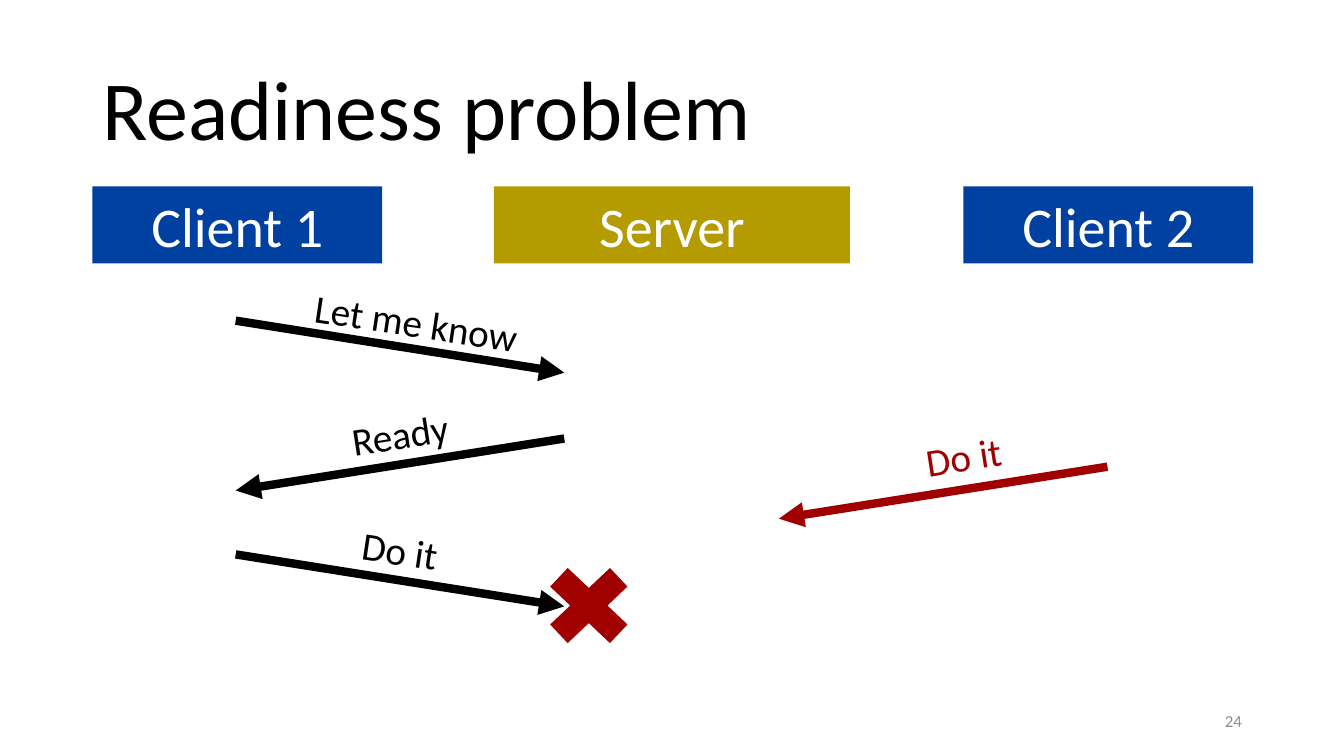
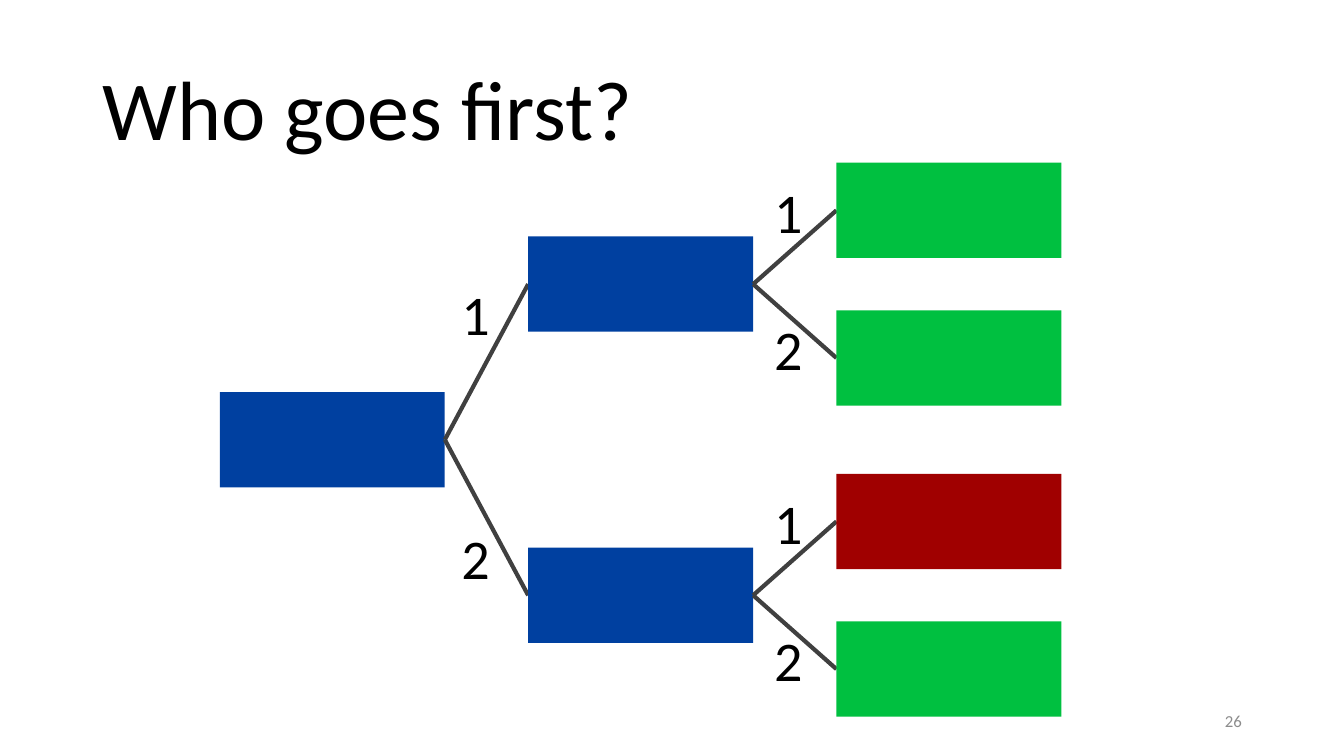
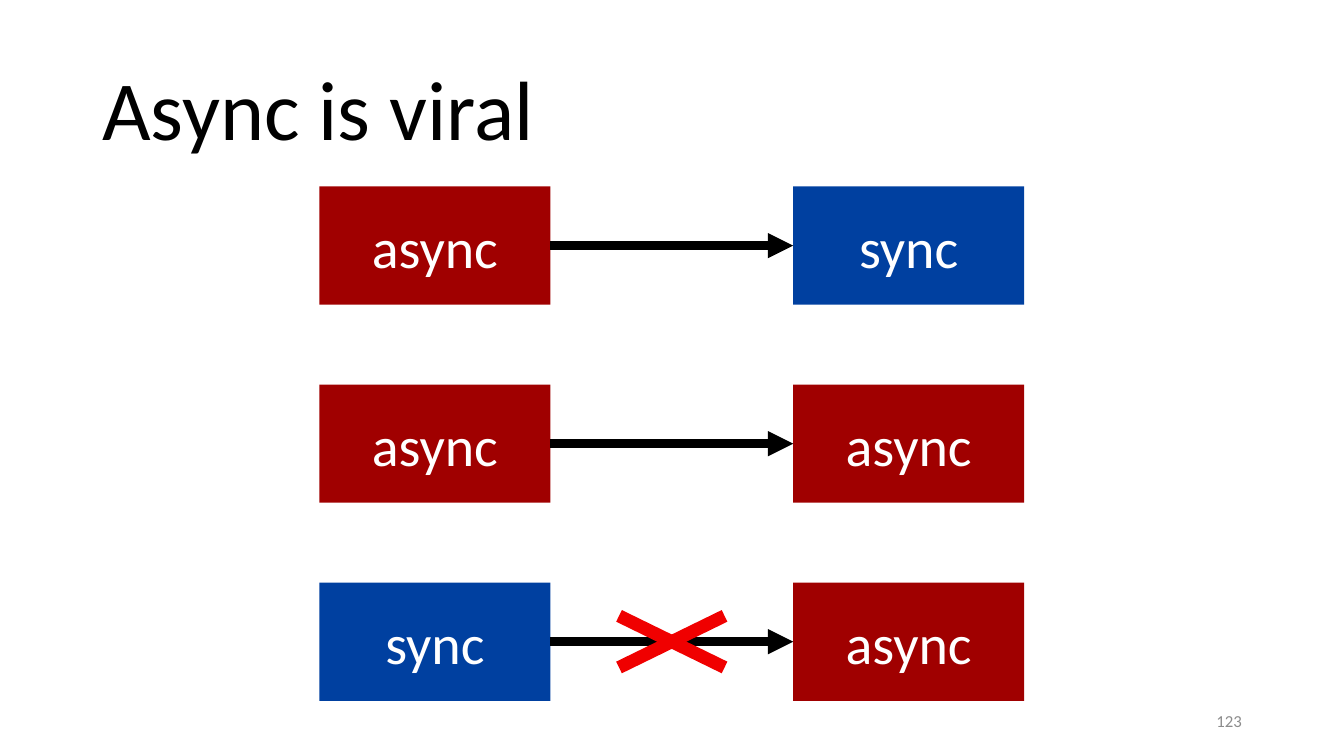
from dataclasses import dataclass

from lxml.etree import SubElement as Sub
from pptx import Presentation
from pptx.dml.color import RGBColor as Rgb
from pptx.enum.shapes import MSO_CONNECTOR as Link, MSO_SHAPE as Kind
from pptx.enum.text import MSO_ANCHOR as Anchor, PP_ALIGN as Align
from pptx.oxml.ns import qn
from pptx.slide import Slide
from pptx.text.text import TextFrame
from pptx.util import Cm, Pt

FONT = "Calibri"
HUE = {
    "black": "000000", "white": "FFFFFF", "blue": "0040A0", "gold": "B49C00",
    "maroon": "A00000", "red": "F00000", "green": "00C040",
    "dark": "404040", "gray": "8C8C8C",
}
ROW_TOP = 4.7


@dataclass
class Box:
    x: float
    y: float
    w: float
    h: float

    @property
    def right(self) -> float:
        return self.x + self.w

    @property
    def mid(self) -> float:
        return self.y + self.h / 2

    def cm(self) -> tuple:
        return Cm(self.x), Cm(self.y), Cm(self.w), Cm(self.h)


@dataclass
class Message:
    text: str
    left: float
    top: float
    tag_x: float
    tag_y: float
    back: bool = False
    hue: str = "black"


@dataclass
class Fork:
    root: Box
    x: float
    reach: float
    tag_dx: float
    tag_dy: float
    hues: tuple[str, str]


def tint(name: str) -> Rgb:
    return Rgb.from_string(HUE[name])


def write(frame: TextFrame, text: str, size: float, hue: str,
          align: Align = Align.CENTER, anchor: Anchor = Anchor.MIDDLE) -> None:
    frame.word_wrap = True
    frame.vertical_anchor = anchor
    par = frame.paragraphs[0]
    par.text = text
    par.alignment = align
    par.font.name = FONT
    par.font.size = Pt(size)
    par.font.color.rgb = tint(hue)


def label(page: Slide, box: Box, text: str, size: float, hue: str = "black",
          align: Align = Align.CENTER, anchor: Anchor = Anchor.TOP,
          turn: float = 0) -> TextFrame:
    shape = page.shapes.add_textbox(*box.cm())
    shape.rotation = turn
    write(shape.text_frame, text, size, hue, align, anchor)
    return shape.text_frame


def block(page: Slide, box: Box, hue: str, text: str = "",
          kind: Kind = Kind.RECTANGLE) -> None:
    shape = page.shapes.add_shape(kind, *box.cm())
    shape.shadow.inherit = False
    shape.fill.solid()
    shape.fill.fore_color.rgb = tint(hue)
    shape.line.fill.background()
    if text:
        write(shape.text_frame, text, 40, "white")


def line(page: Slide, x1: float, y1: float, x2: float, y2: float,
         hue: str = "black", width: float = 6, head: bool = False) -> None:
    link = page.shapes.add_connector(Link.STRAIGHT, Cm(x1), Cm(y1), Cm(x2), Cm(y2))
    link.line.color.rgb = tint(hue)
    link.line.width = Pt(width)
    props = link.element.spPr
    if head:
        Sub(props.find(qn("a:ln")), qn("a:tailEnd"), type="triangle")
    Sub(props, qn("a:effectLst"))


def start(deck: Presentation, title: str, number: int) -> Slide:
    page = deck.slides.add_slide(deck.slide_layouts[6])
    frame = label(page, Box(2.33, 1.02, 29.21, 3.68), title, 60,
                  align=Align.LEFT, anchor=Anchor.MIDDLE)
    frame.paragraphs[0].line_spacing = 0.9
    label(page, Box(23.93, 17.65, 7.62, 1.02), str(number), 12, "gray",
          Align.RIGHT, Anchor.MIDDLE)
    return page


def send(page: Slide, msg: Message) -> None:
    ends = [msg.left, msg.left + 8.28]
    if msg.back:
        ends.reverse()
    line(page, ends[0], msg.top, ends[1], msg.top + 1.31, msg.hue, head=True)
    label(page, Box(msg.tag_x, msg.tag_y, 5.74, 1.45), msg.text, 28, msg.hue,
          turn=-8.8 if msg.back else 8.5)


def ready(deck: Presentation) -> None:
    page = start(deck, "Readiness problem", 24)
    for text, x, w, hue in (("Client 1", 2.33, 7.3, "blue"),
                            ("Server", 12.45, 8.97, "gold"),
                            ("Client 2", 24.28, 7.3, "blue")):
        block(page, Box(x, ROW_TOP, w, 1.94), hue, text)
    for msg in (Message("Let me know", 5.94, 8.08, 7.62, 7.39),
                Message("Ready", 5.94, 11.05, 7.21, 10.21, True),
                Message("Do it", 19.63, 11.76, 21.41, 10.77, True, "maroon"),
                Message("Do it", 5.94, 13.97, 7.21, 13.13)):
        send(page, msg)
    block(page, Box(13.39, 13.89, 2.9, 2.74), "maroon", kind=Kind.MATH_MULTIPLY)


def split(page: Slide, fork: Fork) -> list[Box]:
    root, kids = fork.root, []
    for side, text, hue in zip((-1, 1), "12", fork.hues):
        kid = Box(fork.x, root.y + side * fork.reach, root.w, root.h)
        line(page, root.right, root.mid, kid.x, kid.mid, "dark", 3)
        block(page, kid, hue)
        tag_y = root.mid - 1.08 + side * fork.tag_dy
        label(page, Box(root.right + fork.tag_dx, tag_y, 2.11, 1.96), text, 40)
        kids.append(kid)
    return kids


def order(deck: Presentation) -> None:
    page = start(deck, "Who goes first?", 26)
    root = Box(5.54, 9.88, 5.67, 2.4)
    block(page, root, "blue")
    kids = split(page, Fork(root, 13.31, 3.92, -0.28, 3.08, ("blue", "blue")))
    for kid, hue in zip(kids, ("green", "maroon")):
        split(page, Fork(kid, 21.08, 1.86, -0.17, 1.73, (hue, "green")))


def viral(deck: Presentation) -> None:
    page = start(deck, "Async is viral", 123)
    hues = {"async": "maroon", "sync": "blue"}
    calls = (("async", "sync"), ("async", "async"), ("sync", "async"))
    for row, names in enumerate(calls):
        pair = [Box(x, ROW_TOP + row * 4.99, 5.82, 2.98) for x in (8.05, 19.99)]
        for box, name in zip(pair, names):
            block(page, box, hues[name], name)
        left, right = pair
        line(page, left.right, left.mid, right.x, right.mid, head=True)
        if names == ("sync", "async"):
            mid = (left.right + right.x) / 2
            for dy in (0.65, -0.65):
                line(page, mid - 1.33, left.mid - dy, mid + 1.33, left.mid + dy,
                     "red", 9.25)


def main() -> None:
    deck = Presentation()
    deck.slide_width, deck.slide_height = Cm(33.87), Cm(19.05)
    for draw in (ready, order, viral):
        draw(deck)
    deck.save("out.pptx")


if __name__ == "__main__":
    main()
